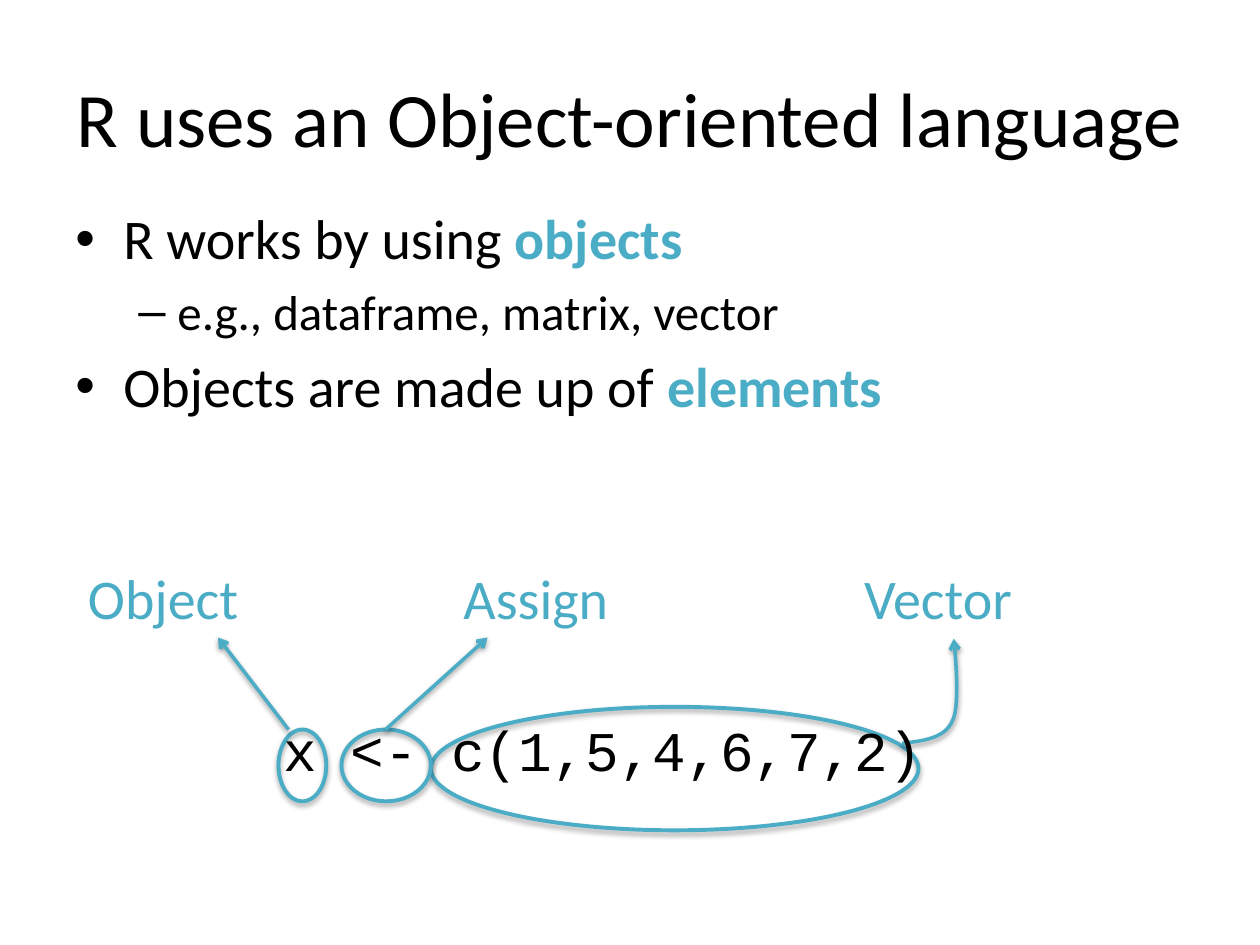
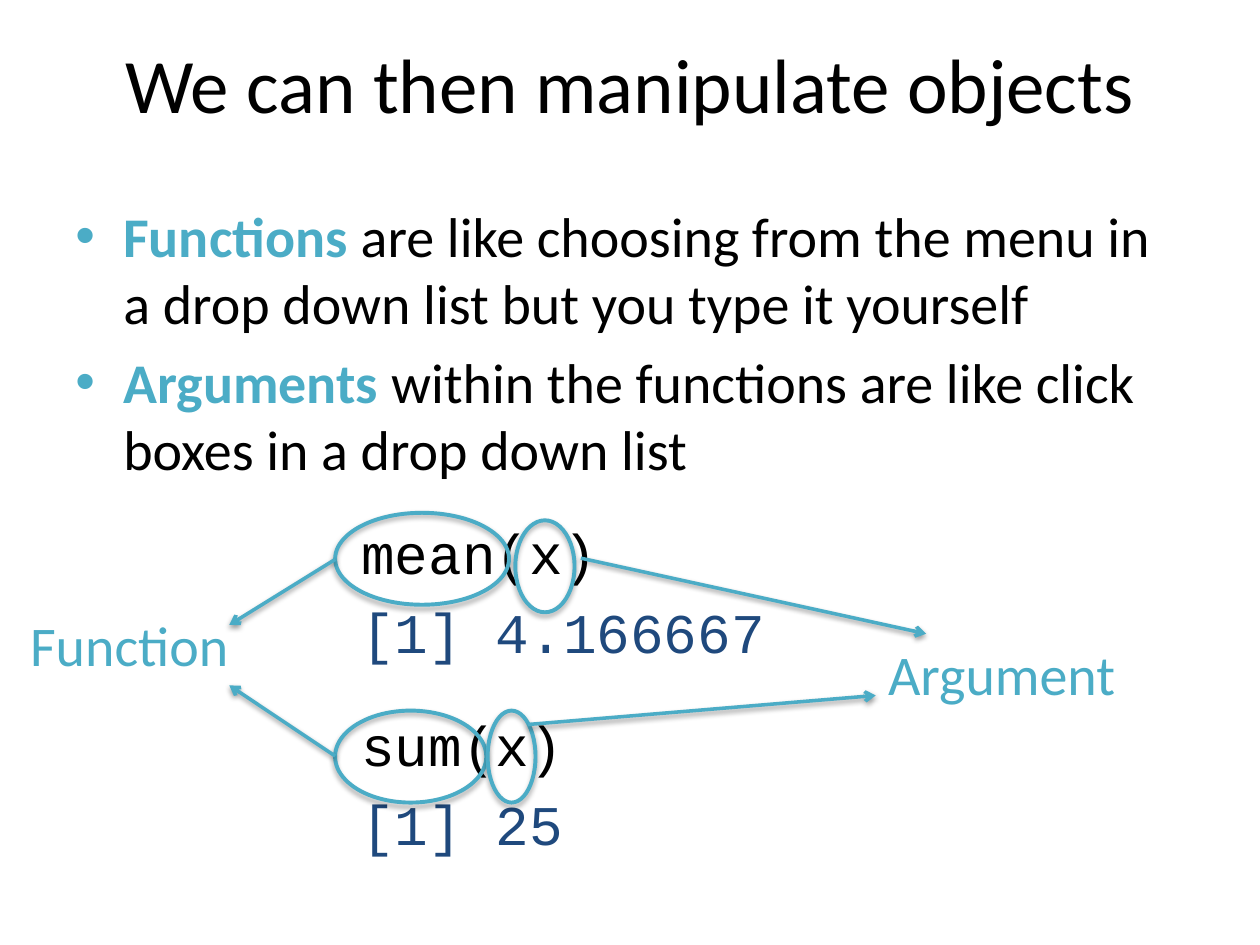
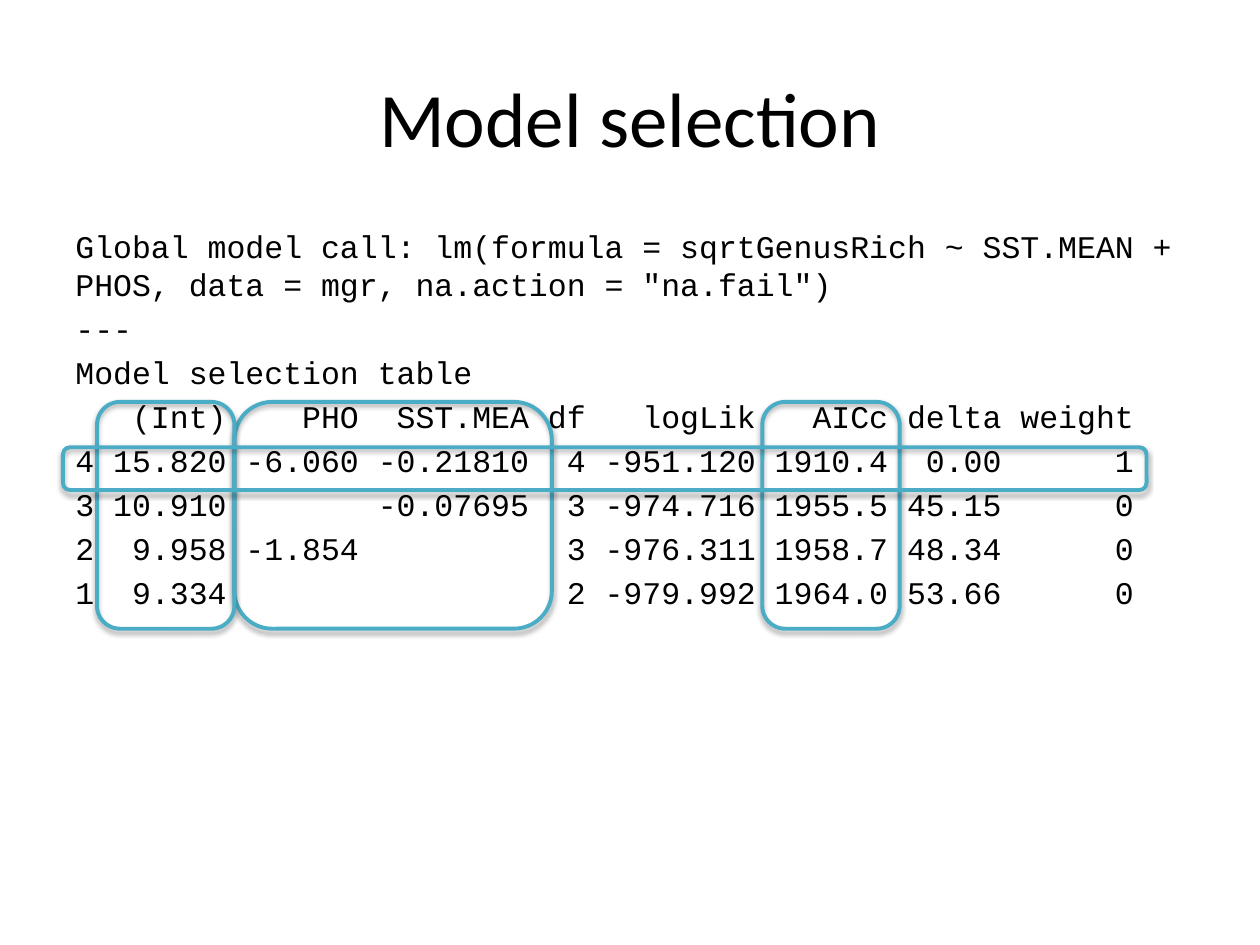
from lxml import etree
from pptx import Presentation
from pptx.dml.color import RGBColor
from pptx.enum.shapes import MSO_CONNECTOR, MSO_SHAPE
from pptx.enum.text import MSO_ANCHOR, PP_ALIGN
from pptx.oxml.ns import qn
from pptx.util import Inches, Pt

OVAL = MSO_SHAPE.OVAL
ROUND_RECT = MSO_SHAPE.ROUNDED_RECTANGLE
STRAIGHT = MSO_CONNECTOR.STRAIGHT
MIDDLE = MSO_ANCHOR.MIDDLE
CENTER = PP_ALIGN.CENTER

COLORS = {"text": "000000", "accent": "4BACC6", "output": "1F497D"}
BODY_FONT, CODE_FONT = "Calibri", "Courier New"
# Bullet levels: character, left margin, hanging indent, text size
LEVELS = [("•", 0.38, 0.38, 32), ("–", 0.81, 0.31, 28)]


def bezier(start, *curves, steps=16):
    """Return points along a chain of cubic curves."""
    points = [start]
    for c1, c2, end in curves:
        p0 = points[-1]
        for i in range(1, steps + 1):
            t = i / steps
            u = 1 - t
            points.append(tuple(
                u**3 * a + 3 * u * u * t * b + 3 * u * t * t * c + t**3 * d
                for a, b, c, d in zip(p0, c1, c2, end)))
    return points


class Deck:
    def __init__(self):
        self.prs = Presentation()
        self.prs.slide_width, self.prs.slide_height = Inches(10), Inches(7.5)
        self.s = None

    def slide(self, title, top=0.3):
        self.s = self.prs.slides.add_slide(self.prs.slide_layouts[6])
        tf = self.box(0.5, top, 9, 1.25)
        tf.vertical_anchor = MIDDLE
        tf.paragraphs[0].alignment = CENTER
        self.runs(tf.paragraphs[0], [(title, "text")], 44)

    # Text
    def box(self, x, y, w, h):
        tf = self.s.shapes.add_textbox(
            Inches(x), Inches(y), Inches(w), Inches(h)).text_frame
        tf.word_wrap = True
        return tf

    def runs(self, p, parts, size, font=BODY_FONT, bold_accent=False):
        for text, color in parts:
            r = p.add_run()
            r.text = text
            r.font.name, r.font.size = font, Pt(size)
            r.font.color.rgb = RGBColor.from_string(COLORS[color])
            r.font.bold = bold_accent and color == "accent"

    def paragraphs(self, tf, count):
        for i in range(count):
            yield tf.add_paragraph() if i else tf.paragraphs[0]

    def bullets(self, y, h, items):
        tf = self.box(0.5, y, 8.85, h)
        for p, (level, parts) in zip(self.paragraphs(tf, len(items)), items):
            char, margin, hang, size = LEVELS[level]
            pPr = p._p.get_or_add_pPr()
            pPr.set("marL", str(Inches(margin)))
            pPr.set("indent", str(-Inches(hang)))
            etree.SubElement(pPr, qn("a:buFont")).set("typeface", "Arial")
            etree.SubElement(pPr, qn("a:buChar")).set("char", char)
            if p is not tf.paragraphs[0] and len(tf.paragraphs) > 1:
                p.space_before = Pt(size * 0.2)
            self.runs(p, parts, size, bold_accent=True)

    def code(self, x, y, w, h, lines, size=32):
        """Lines are (text, color, extra space before in points)."""
        tf = self.box(x, y, w, h)
        rows = zip(self.paragraphs(tf, len(lines)), lines)
        for i, (p, (text, color, extra)) in enumerate(rows):
            if i:
                p.space_before = Pt(size * 0.2 + extra)
            self.runs(p, [(text, color)], size, CODE_FONT)

    def label(self, x, y, text):
        tf = self.box(x, y, 2.27, 0.64)
        self.runs(tf.paragraphs[0], [(text, "accent")], 32)

    # Outlines and arrows
    def style(self, shape, width, alpha, dist):
        shape.line.color.rgb = RGBColor.from_string(COLORS["accent"])
        shape.line.width = Pt(width)
        spPr = shape._element.spPr
        effects = etree.SubElement(spPr, qn("a:effectLst"))
        shadow = etree.SubElement(
            effects, qn("a:outerShdw"), blurRad=str(Pt(3.1)),
            dist=str(Pt(dist)), dir="5400000", rotWithShape="0")
        color = etree.SubElement(shadow, qn("a:srgbClr"), val="000000")
        etree.SubElement(color, qn("a:alpha"), val=str(alpha * 1000))

    def ring(self, x, y, w, h, kind=OVAL):
        shape = self.s.shapes.add_shape(
            kind, Inches(x), Inches(y), Inches(w), Inches(h))
        shape.fill.background()
        self.style(shape, 2.25, 35, 1.8)

    def arrowhead(self, shape):
        self.style(shape, 2, 38, 1.6)
        etree.SubElement(shape.line._get_or_add_ln(), qn("a:tailEnd"),
                         type="arrow")

    def arrow(self, x1, y1, x2, y2):
        self.arrowhead(self.s.shapes.add_connector(
            STRAIGHT, Inches(x1), Inches(y1), Inches(x2), Inches(y2)))

    def curved_arrow(self, points):
        points = [(Inches(x), Inches(y)) for x, y in points]
        builder = self.s.shapes.build_freeform(*points[0])
        builder.add_line_segments(points[1:], close=False)
        shape = builder.convert_to_shape()
        shape.fill.background()
        self.arrowhead(shape)


def objects_slide(d):
    d.slide("R uses an Object-oriented language")
    d.bullets(1.57, 2.13, [
        (0, [("R works by using ", "text"), ("objects", "accent")]),
        (1, [("e.g., dataframe, matrix, vector", "text")]),
        (0, [("Objects are made up of ", "text"), ("elements", "accent")]),
    ])
    for x, text in [(0.6, "Object"), (3.58, "Assign"), (6.76, "Vector")]:
        d.label(x, 4.42, text)
    # Assignment with its three parts ringed
    d.ring(2.21, 5.79, 0.38, 0.57)
    d.ring(3.42, 5.61, 3.87, 0.98)
    d.curved_arrow(bezier(
        (7.16, 5.9),
        ((7.33, 5.88), (7.5, 5.86), (7.56, 5.72)),
        ((7.63, 5.59), (7.57, 5.07), (7.57, 5.07))))
    d.code(2.15, 5.63, 7.57, 0.96, [("x <- c(1,5,4,6,7,2)", "text", 0)])
    d.ring(2.71, 5.79, 0.71, 0.57)
    d.arrow(3.06, 5.79, 3.87, 5.06)
    d.arrow(2.29, 5.79, 1.73, 5.06)


def functions_slide(d):
    d.slide("We can then manipulate objects", top=0.03)
    d.bullets(1.55, 2.66, [
        (0, [("Functions", "accent"),
             (" are like choosing from the menu in a drop down list "
              "but you type it yourself", "text")]),
        (0, [("Arguments", "accent"),
             (" within the functions are like click boxes in a "
              "drop down list", "text")]),
    ])
    d.code(2.77, 4.07, 3.43, 3.66, [
        ("mean(x)", "text", 0), ("[1] 4.166667", "output", 0),
        ("sum(x)", "text", 19.9), ("[1] 25", "output", 0),
    ])
    d.label(0.14, 4.8, "Function")
    d.label(6.95, 5.03, "Argument")
    # Rings around function names and arguments
    for x, y, w in [(2.66, 4.07, 1.38), (2.66, 5.64, 1.2),
                    (3.87, 5.64, 0.38), (4.09, 4.13, 0.47)]:
        d.ring(x, y, w, 0.73)
    for ends in [(4.61, 4.43, 7.35, 5.03), (4.19, 5.75, 6.95, 5.52),
                 (2.66, 4.44, 1.82, 4.96), (2.66, 6, 1.82, 5.44)]:
        d.arrow(*ends)


def selection_slide(d):
    d.slide("Model selection")
    lines = [
        "Global model call: lm(formula = sqrtGenusRich ~ SST.MEAN + "
        "PHOS, data = mgr, na.action = \"na.fail\")",
        "---",
        "Model selection table",
        "   (Int)    PHO  SST.MEA df   logLik   AICc delta weight",
        "4 15.820 -6.060 -0.21810  4 -951.120 1910.4  0.00      1",
        "3 10.910        -0.07695  3 -974.716 1955.5 45.15      0",
        "2  9.958 -1.854           3 -976.311 1958.7 48.34      0",
        "1  9.334                  2 -979.992 1964.0 53.66      0",
    ]
    d.code(0.5, 1.75, 9, 4.95, [(line, "text", 0) for line in lines], 18)
    # Highlighted columns and best model row
    for x, w in [(6.05, 1.09), (1.86, 2.52), (0.77, 1.09)]:
        d.ring(x, 3.19, w, 1.8, ROUND_RECT)
    d.ring(0.5, 3.55, 8.6, 0.34, ROUND_RECT)


def main():
    d = Deck()
    objects_slide(d)
    functions_slide(d)
    selection_slide(d)
    d.prs.save("out.pptx")


if __name__ == "__main__":
    main()
